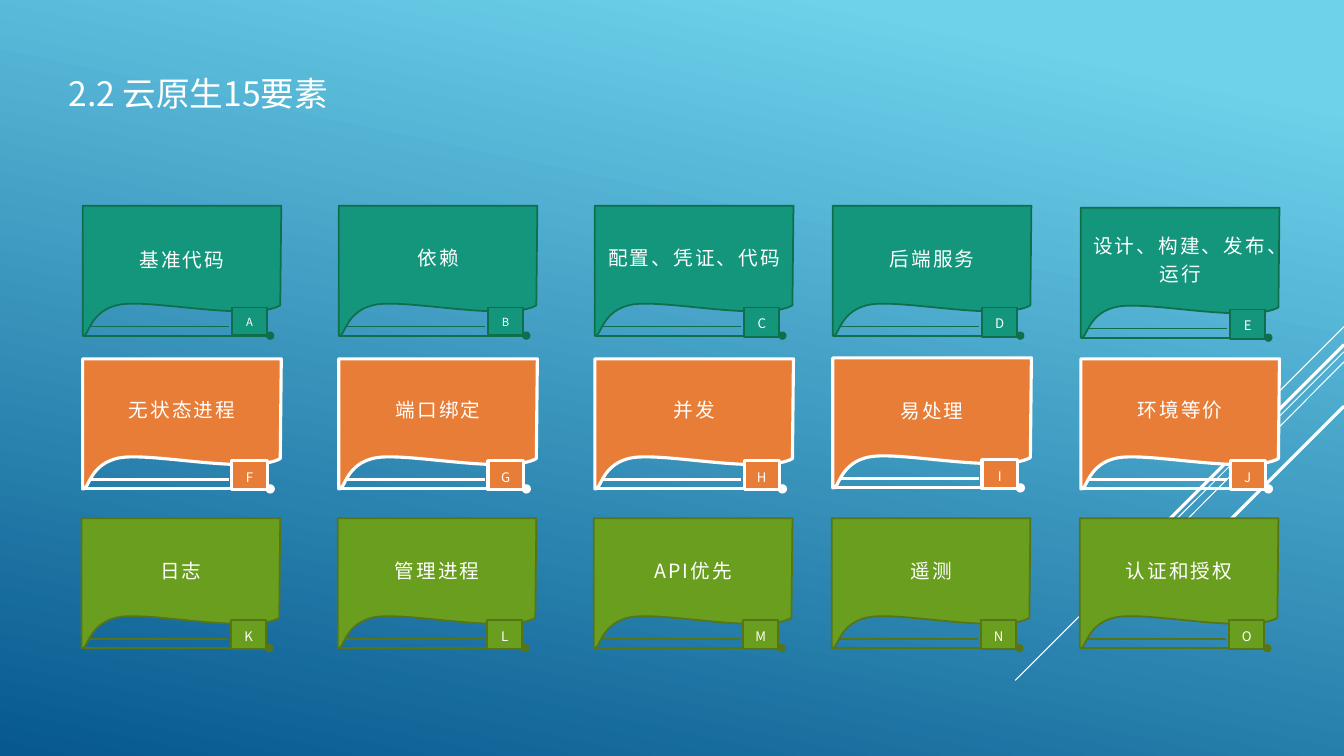
from lxml import etree
from pptx import Presentation
from pptx.dml.color import RGBColor
from pptx.enum.shapes import MSO_CONNECTOR, MSO_SHAPE
from pptx.enum.text import MSO_ANCHOR, PP_ALIGN
from pptx.oxml.ns import qn
from pptx.util import Inches, Pt

STRAIGHT = MSO_CONNECTOR.STRAIGHT
RECTANGLE = MSO_SHAPE.RECTANGLE
MIDDLE = MSO_ANCHOR.MIDDLE
LEFT, CENTER = PP_ALIGN.LEFT, PP_ALIGN.CENTER

FONT = "Noto Sans CJK SC"
WHITE = "FFFFFF"
CARD_W, LABEL_H = 1.97, 0.99
COLUMNS = [0.82, 3.36, 5.9, 8.26, 10.72]
LETTERS = "ABCDEFGHIJKLMNO"

# left shift, top, label shift, fill, outline, outline width, labels
ROWS = [
    (0, 2.04, 0, "14967C", "0F6F4C", 1.25,
     ["基准代码", "依赖", "配置、凭证、代码", "后端服务", "设计、构建、发布、运行"]),
    (0, 3.56, -0.01, "E87D37", WHITE, 2.25,
     ["无状态进程", "端口绑定", "并发", "易处理", "环境等价"]),
    (-0.01, 5.14, 0, "6A9E1F", "567517", 1.25,
     ["日志", "管理进程", "API优先", "遥测", "认证和授权"]),
]
CARD_SHIFT = {"E": 0.02, "I": -0.01}
LABEL_SHIFT = {"A": 0.02, "D": 0.01, "I": 0.02}
SMALL_BADGES = "AB"

# Corners of a card, clockwise from the top right
CORNERS = [(CARD_W, 0), (1.96, 0.99), (0.38, 0.98), (0, 1.29)]
# Bezier control points of the two sides that end at the last two corners
EDGE_CONTROLS = [
    [(1.67, 1.15), (0.71, 0.93)],
    [(0.06, 1.03), (0.06, 1.32)],
]

# x and y on the right, x and y at the lower end, width
DIAGONALS = [
    (13.33, 3.24, 12.33, 4.24, 0.75),
    (13.33, 3.49, 10.07, 6.75, 0.75),
    (13.33, 3.59, 11.26, 5.67, 0.75),
    (13.33, 3.42, 11.42, 5.33, 2.25),
    (13.33, 4.03, 11.94, 5.42, 2.25),
]


def rgb(color):
    return RGBColor.from_string(color)


def set_background(s):
    fill = s.background.fill
    fill.gradient()
    fill.gradient_angle = 258
    for stop, position, color in zip(fill.gradient_stops, (0.1, 1), ("6ED2EB", "06588E")):
        stop.position = position
        stop.color.rgb = rgb(color)


def style_shape(sp, fill, outline, width):
    sp.shadow.inherit = False
    sp.fill.solid()
    sp.fill.fore_color.rgb = rgb(fill)
    sp.line.color.rgb = rgb(outline)
    sp.line.width = Pt(width)


def write(sp, text, size, align=CENTER, line_spacing=None, tracking=None):
    tf = sp.text_frame
    tf.text = text
    tf.word_wrap = True
    tf.vertical_anchor = MIDDLE
    p = tf.paragraphs[0]
    p.alignment = align
    p.line_spacing = line_spacing
    r = p.runs[0]
    r.font.size = Pt(size)
    r.font.name = FONT
    r.font.color.rgb = rgb(WHITE)
    rPr = r.font._element
    etree.SubElement(rPr, qn("a:ea")).set("typeface", FONT)
    if tracking:
        rPr.set("spc", str(int(tracking * 100)))


def add_line(shapes, x1, y1, x2, y2, color, width, dot=False):
    line = shapes.add_connector(STRAIGHT, Inches(x1), Inches(y1), Inches(x2), Inches(y2))
    line.line.color.rgb = rgb(color)
    line.line.width = Pt(width)
    if dot:
        etree.SubElement(line.line._get_or_add_ln(), qn("a:tailEnd")).set("type", "oval")
    etree.SubElement(line._element.spPr, qn("a:effectLst"))


def curve_segment(segment, controls):
    """Turn a straight path segment into a cubic Bezier."""
    segment.tag = qn("a:cubicBezTo")
    for i, (dx, dy) in enumerate(controls):
        pt = etree.Element(qn("a:pt"), x=str(Inches(dx)), y=str(Inches(dy)))
        segment.insert(i, pt)


def add_banner(shapes, x, y, fill, outline, width):
    """Add a card body with a curled lower edge."""
    builder = shapes.build_freeform(Inches(x), Inches(y))
    builder.add_line_segments([(Inches(x + dx), Inches(y + dy)) for dx, dy in CORNERS])
    sp = builder.convert_to_shape()
    segments = list(sp._element.iter(qn("a:lnTo")))[2:4]
    for segment, controls in zip(segments, EDGE_CONTROLS):
        curve_segment(segment, controls)
    style_shape(sp, fill, outline, width)


def add_card(s, x, y, letter, fill, outline, width):
    shapes = s.shapes.add_group_shape().shapes
    add_line(shapes, x + 0.06, y + 1.2, x + 1.45, y + 1.2, outline, width)
    add_line(shapes, x, y + 1.29, x + 1.86, y + 1.29, outline, width, dot=True)
    add_banner(shapes, x, y, fill, outline, width)
    height, size = (0.27, 8) if letter in SMALL_BADGES else (0.29, 9.4)
    badge = shapes.add_shape(RECTANGLE, Inches(x + 1.48), Inches(y + 1.01),
                             Inches(0.35), Inches(height))
    style_shape(badge, fill, outline, width)
    tf = badge.text_frame
    tf.margin_left = tf.margin_right = tf.margin_top = tf.margin_bottom = 0
    write(badge, letter, size, line_spacing=1.2)


def add_label(s, x, y, text):
    box = s.shapes.add_textbox(Inches(x), Inches(y), Inches(CARD_W), Inches(LABEL_H))
    write(box, text, 14, line_spacing=1.2, tracking=1.5)


def add_title(s, text):
    title = s.shapes.title
    title.left, title.top = Inches(0.58), Inches(0.67)
    title.width, title.height = Inches(3.39), Inches(0.5)
    write(title, text, 24, align=LEFT)


def main():
    prs = Presentation()
    prs.slide_width, prs.slide_height = Inches(13.33), Inches(7.5)
    s = prs.slides.add_slide(prs.slide_layouts[5])
    set_background(s)
    add_title(s, "2.2 云原生15要素")

    diagonals = s.shapes.add_group_shape().shapes
    for x1, y1, x2, y2, width in DIAGONALS:
        add_line(diagonals, x1, y1, x2, y2, WHITE, width)

    letters = iter(LETTERS)
    for shift, top, label_shift, fill, outline, width, labels in ROWS:
        for left, label in zip(COLUMNS, labels):
            letter = next(letters)
            x, y = left + shift, top + CARD_SHIFT.get(letter, 0)
            add_card(s, x, y, letter, fill, outline, width)
            add_label(s, x, y + label_shift + LABEL_SHIFT.get(letter, 0), label)

    prs.save("out.pptx")


if __name__ == "__main__":
    main()
